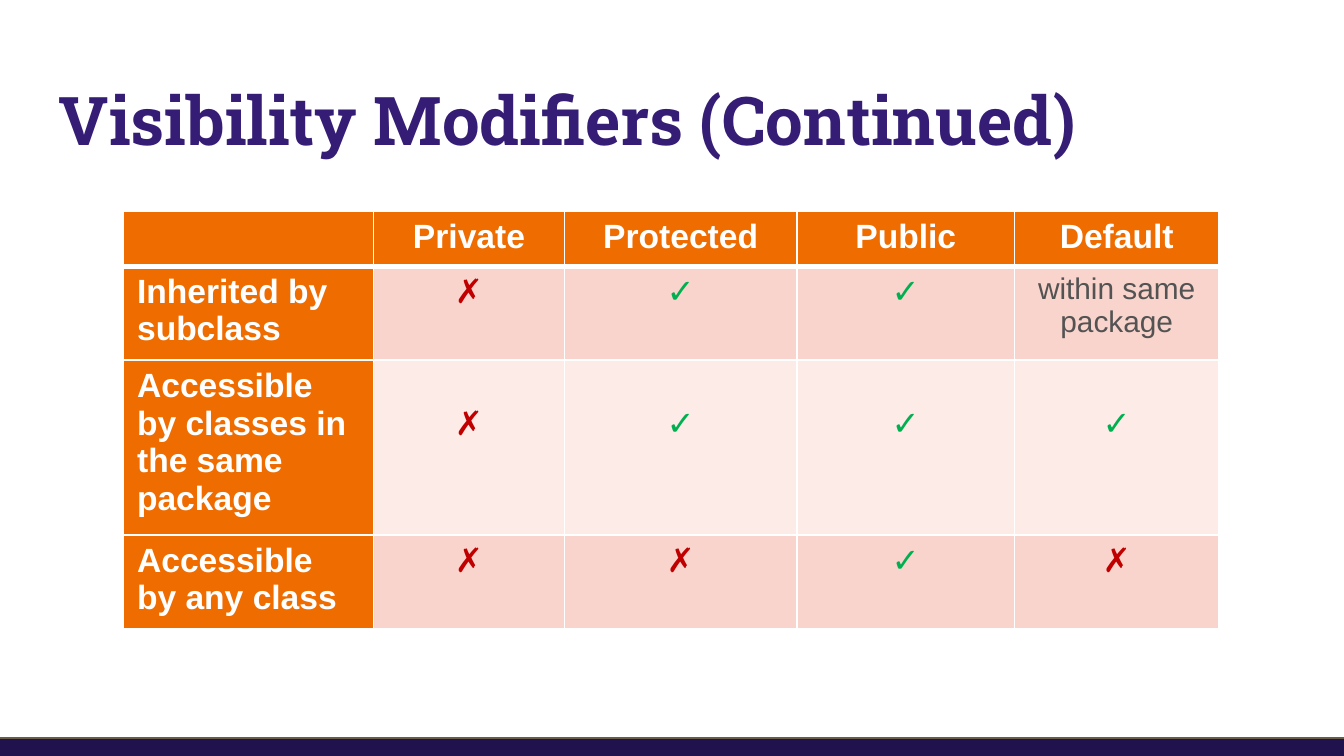
from lxml import etree
from pptx import Presentation
from pptx.dml.color import RGBColor
from pptx.enum.shapes import MSO_SHAPE
from pptx.enum.text import MSO_ANCHOR, PP_ALIGN
from pptx.oxml.ns import qn
from pptx.util import Inches, Pt

RECTANGLE = MSO_SHAPE.RECTANGLE
LEFT, CENTER = PP_ALIGN.LEFT, PP_ALIGN.CENTER
MIDDLE = MSO_ANCHOR.MIDDLE

SLIDE_WIDTH = 10
SLIDE_HEIGHT = SLIDE_WIDTH * 9 / 16
WHITE, ORANGE, PURPLE, NAVY = "FFFFFF", "EF6C00", "351C75", "20124D"
OLIVE, GRAY, RED, GREEN = "695D46", "535353", "C00000", "00B050"
BANDS = ["F9D4CC", "FCEBE7"]
MARK_COLORS = {"✗": RED, "✓": GREEN}

COLUMN_WIDTHS = [1.86, 1.42, 1.73, 1.62, 1.52]
ROW_HEIGHT = 0.41
TABLE_HEIGHT = 3.11
CELL_PADDING = 0.05
LINE_HEIGHT = 0.28
LOWERED_ROW = 2

MODIFIERS = [
    ["", "Private", "Protected", "Public", "Default"],
    ["Inherited by subclass", "✗", "✓", "✓", "within same package"],
    ["Accessible by classes in the same package", "✗", "✓", "✓", "✓"],
    ["Accessible by any class", "✗", "✗", "✓", "✗"],
]


def color(hex_code):
    """Return the colour for a hex string."""
    return RGBColor.from_string(hex_code)


def write(frame, text, size=18, font="Arial", ink=WHITE, bold=False, align=LEFT):
    """Put one formatted run of text into a text frame."""
    paragraph = frame.paragraphs[0]
    paragraph.alignment = align
    run = paragraph.add_run()
    run.text = text
    run.font.size = Pt(size)
    run.font.name = font
    run.font.bold = bold
    run.font.color.rgb = color(ink)


def add_title(slide, text):
    """Add the slide heading."""
    box = slide.shapes.add_textbox(
        Inches(0.34), Inches(0.5), Inches(9.32), Inches(0.77))
    frame = box.text_frame
    frame.word_wrap = True
    frame.vertical_anchor = MIDDLE
    frame.margin_left = frame.margin_right = Inches(0.1)
    frame.margin_top = frame.margin_bottom = Inches(0.1)
    write(frame, text, size=36, font="Roboto Slab", ink=PURPLE, bold=True)


def add_footer_bar(slide):
    """Add the dark band along the bottom edge."""
    bar = slide.shapes.add_shape(
        RECTANGLE, Inches(-0.1), Inches(5.49), Inches(10.12), Inches(0.22))
    bar.shadow.inherit = False
    bar.fill.solid()
    bar.fill.fore_color.rgb = color(NAVY)
    bar.line.color.rgb = color(OLIVE)
    bar.line.width = Pt(0.75)


def set_borders(cell, widths):
    """Draw white cell borders, given widths in points by side tag."""
    properties = cell._tc.get_or_add_tcPr()
    for position, (side, width) in enumerate(widths.items()):
        border = etree.Element(qn(f"a:{side}"), w=str(Pt(width)))
        fill = etree.SubElement(border, qn("a:solidFill"))
        etree.SubElement(fill, qn("a:srgbClr"), val=WHITE)
        properties.insert(position, border)


def fill_cell(cell, text, row, column):
    """Style one table cell by its row and column and write its text."""
    is_heading = row == 0 or column == 0
    cell.fill.solid()
    cell.fill.fore_color.rgb = color(ORANGE if is_heading else BANDS[(row - 1) % 2])
    set_borders(cell, {"lnL": 1, "lnR": 1, "lnT": 3 if row == 1 else 1,
                       "lnB": 3 if row == 0 else 1})
    cell.margin_top = cell.margin_bottom = Inches(CELL_PADDING)
    if row == LOWERED_ROW and not is_heading:
        cell.margin_top = Inches(CELL_PADDING + LINE_HEIGHT)
    if not text:
        return
    is_note = not is_heading and text not in MARK_COLORS
    write(cell.text_frame, text, size=16 if is_note else 18,
          ink=WHITE if is_heading else MARK_COLORS.get(text, GRAY),
          bold=is_heading, align=CENTER if column else LEFT)


def add_modifier_table(slide):
    """Add the table of access rules for each modifier."""
    holder = slide.shapes.add_table(
        len(MODIFIERS), len(COLUMN_WIDTHS), Inches(0.92), Inches(1.57),
        Inches(sum(COLUMN_WIDTHS)), Inches(TABLE_HEIGHT))
    table = holder.table
    for column, width in zip(table.columns, COLUMN_WIDTHS):
        column.width = Inches(width)
    for row in table.rows:
        row.height = Inches(ROW_HEIGHT)
    holder.height = Inches(TABLE_HEIGHT)
    for row, texts in enumerate(MODIFIERS):
        for column, text in enumerate(texts):
            fill_cell(table.cell(row, column), text, row, column)


def main():
    """Build and save the slide."""
    deck = Presentation()
    deck.slide_width = Inches(SLIDE_WIDTH)
    deck.slide_height = Inches(SLIDE_HEIGHT)
    slide = deck.slides.add_slide(deck.slide_layouts[6])
    add_title(slide, "Visibility Modifiers (Continued)")
    add_footer_bar(slide)
    add_modifier_table(slide)
    deck.save("out.pptx")


if __name__ == "__main__":
    main()
